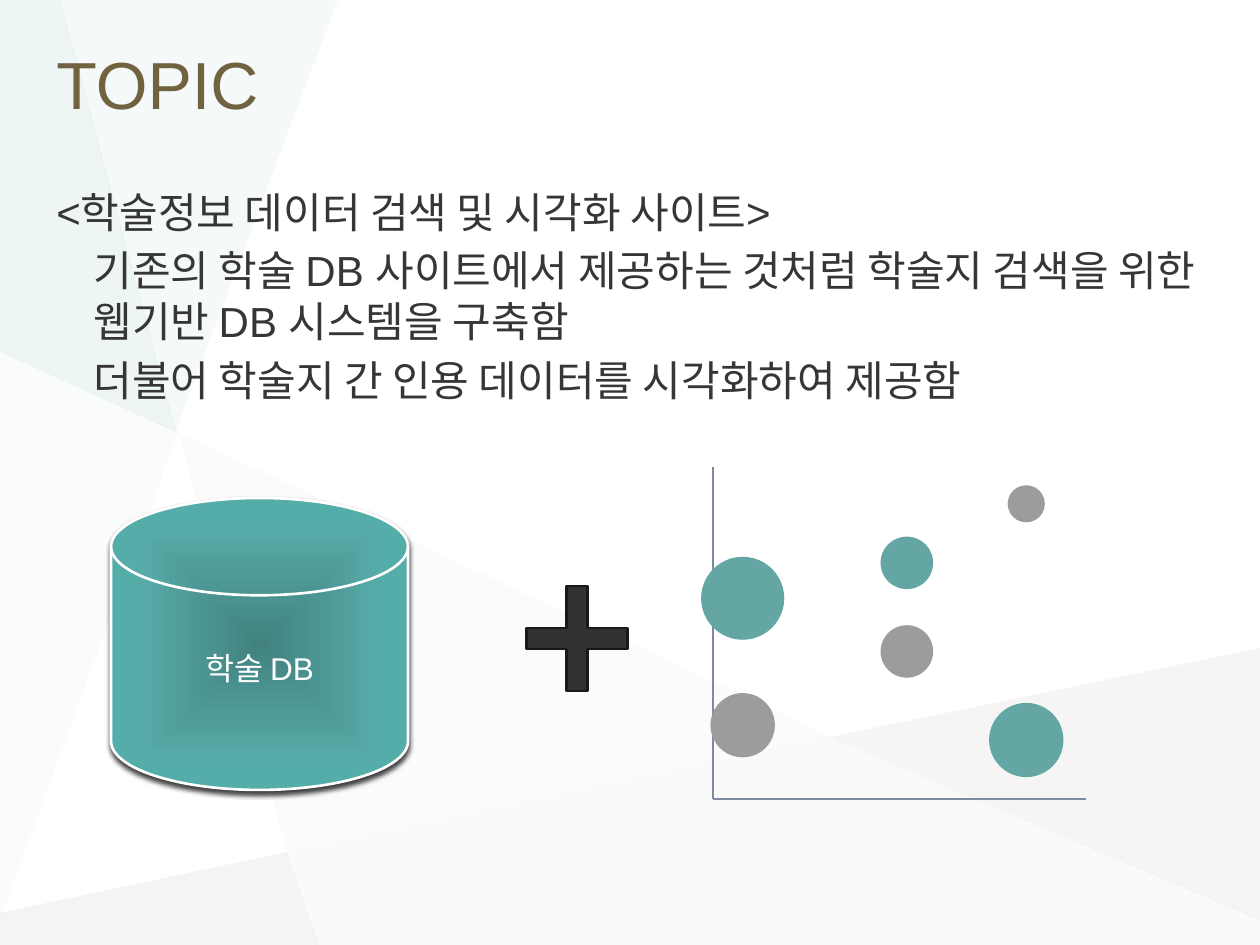
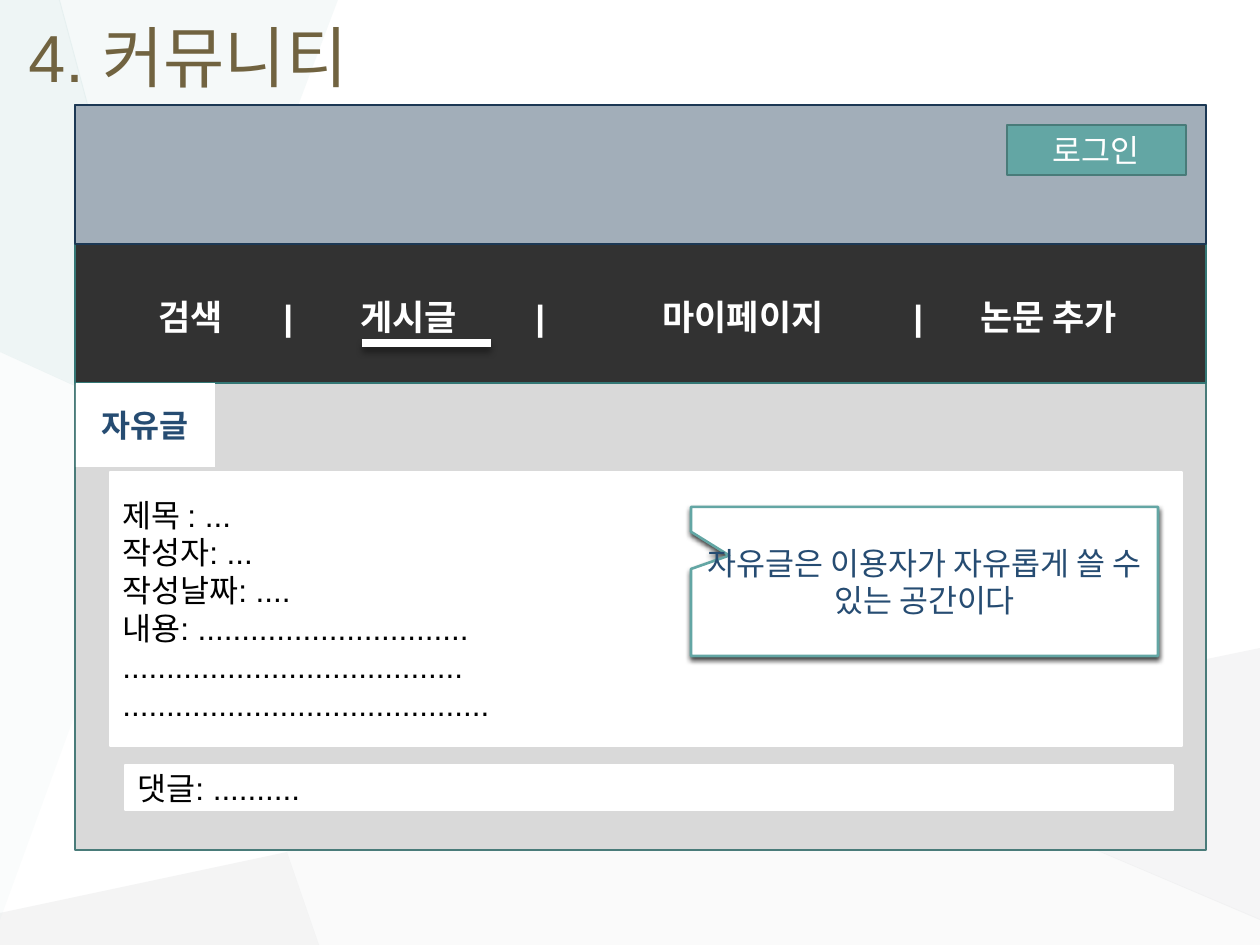
"""Builds two slides: the project topic and the community page mock-up."""
from pptx import Presentation
from pptx.chart.data import BubbleChartData
from pptx.dml.color import RGBColor
from pptx.enum.chart import XL_CHART_TYPE, XL_TICK_LABEL_POSITION, XL_TICK_MARK
from pptx.enum.shapes import MSO_CONNECTOR, MSO_SHAPE
from pptx.enum.text import MSO_ANCHOR, PP_ALIGN
from pptx.oxml import parse_xml
from pptx.oxml.ns import nsdecls, qn
from pptx.util import Emu, Pt

RECT = MSO_SHAPE.RECTANGLE
DISK = MSO_SHAPE.FLOWCHART_MAGNETIC_DISK
PLUS = MSO_SHAPE.MATH_PLUS
CALLOUT = MSO_SHAPE.RECTANGULAR_CALLOUT
LEFT, CENTER = PP_ALIGN.LEFT, PP_ALIGN.CENTER
TOP, MIDDLE = MSO_ANCHOR.TOP, MSO_ANCHOR.MIDDLE
STRAIGHT = MSO_CONNECTOR.STRAIGHT
BUBBLE = XL_CHART_TYPE.BUBBLE
NO_TICK, NO_LABEL = XL_TICK_MARK.NONE, XL_TICK_LABEL_POSITION.NONE

FONT = "Arial"
WHITE = RGBColor(0xFF, 0xFF, 0xFF)
BLACK = RGBColor(0x00, 0x00, 0x00)
GOLD = RGBColor(0x71, 0x63, 0x40)
BODY = RGBColor(0x36, 0x36, 0x36)
DARK = RGBColor(0x32, 0x32, 0x32)
PLUS_EDGE = RGBColor(0x19, 0x19, 0x19)
NAVY = RGBColor(0x26, 0x4C, 0x72)
NAVY_EDGE = RGBColor(0x1C, 0x38, 0x54)
TEAL = RGBColor(0x63, 0xA6, 0xA4)
TEAL_EDGE = RGBColor(0x49, 0x7B, 0x79)
NAV_EDGE = RGBColor(0x34, 0x77, 0x75)
PAGE = RGBColor(0xD9, 0xD9, 0xD9)
GRAY = RGBColor(0x9D, 0x9C, 0x9C)
AXIS = RGBColor(0x7D, 0x8A, 0xA0)
MIST = RGBColor(0xF3, 0xF2, 0xF2)
SILVER = RGBColor(0xB6, 0xB8, 0xBA)
ASH = RGBColor(0xC6, 0xC8, 0xCA)
ICE = RGBColor(0xE0, 0xED, 0xED)
MINT = RGBColor(0xC1, 0xDB, 0xDB)

SLIDE_W, SLIDE_H = 1260, 945
FACETS = [
    (MIST, 26, [(179, 433), (287, 852), (832, 737)]),
    (SILVER, 15, [(287, 852), (0, 913), (0, 945), (319, 945)]),
    (ICE, 31, [(338, 0), (59, 0), (175, 432)]),
    (ASH, 17, [(1260, 648), (830, 737), (1260, 920)]),
    (SILVER, 6, [(830, 737), (287, 852), (319, 945), (1260, 945), (1260, 919)]),
    (MINT, 27, [(60, 0), (0, 0), (0, 352), (176, 432)]),
    (MINT, 8, [(0, 352), (0, 920), (178, 432)]),
]

TOPIC_LINES = [
    "<학술정보 데이터 검색 및 시각화 사이트>",
    "기존의 학술 DB 사이트에서 제공하는 것처럼 학술지 검색을 위한 웹기반 DB 시스템을 구축함",
    "더불어 학술지 간 인용 데이터를 시각화하여 제공함",
]
BODY_INDENT = 37
DISK_STOPS = [(0, "428381"), (80, "56ABA8"), (100, "55ADAA")]
BUBBLE_X = [0.7, 1.8, 2.6]
BUBBLES = [
    ("Series 1", TEAL, [68, 80, 20], [10, 4, 8]),
    ("Series 2", GRAY, [25, 50, 100], [6, 4, 2]),
]
X_RANGE, Y_RANGE = (0.5, 3), (0, 112.5)
PLOT_AREA = {"x": 0.03, "y": 0.07, "w": 0.94, "h": 0.93}

MENU = ["검색", "|", "게시글", "|", "마이페이지", "|", "논문 추가"]
MENU_LEFT = 146
MENU_TABS = [125, 202, 377, 504, 755, 822]
POST_LINES = [
    "제목 : ...",
    "작성자: ...",
    "작성날짜: ....",
    "내용: " + "." * 31,
    "." * 39,
    "." * 42,
]


def px(v):
    return Emu(round(v * 914400 / 126))


def box(*lengths):
    return [px(v) for v in lengths]


def set_alpha(sp, percent):
    clr = next(sp._element.spPr.iter(qn("a:srgbClr")))
    clr.append(parse_xml(f'<a:alpha {nsdecls("a")} val="{percent * 1000}"/>'))


def set_shadow(sp, alpha, blur, dist):
    spPr = sp._element.spPr
    effects = spPr.find(qn("a:effectLst"))
    if effects is None:
        effects = parse_xml(f'<a:effectLst {nsdecls("a")}/>')
        spPr.append(effects)
    effects.append(parse_xml(
        f'<a:outerShdw {nsdecls("a")} blurRad="{Pt(blur)}" dist="{Pt(dist)}" '
        f'dir="5400000" rotWithShape="0"><a:srgbClr val="000000">'
        f'<a:alpha val="{alpha * 1000}"/></a:srgbClr></a:outerShdw>'))


def set_gradient(sp, stops):
    gs = "".join(f'<a:gs pos="{pos * 1000}"><a:srgbClr val="{clr}"/></a:gs>'
                 for pos, clr in stops)
    sp._element.spPr.find(qn("a:prstGeom")).addnext(parse_xml(
        f'<a:gradFill {nsdecls("a")} rotWithShape="1"><a:gsLst>{gs}</a:gsLst>'
        '<a:path path="rect"><a:fillToRect l="50000" t="50000" r="50000" b="50000"/>'
        '</a:path></a:gradFill>'))


def write(sp, lines, size, color, align=LEFT, anchor=MIDDLE, bold=False):
    tf = sp.text_frame
    tf.word_wrap = True
    tf.vertical_anchor = anchor
    tf.text = "\n".join(lines)
    for p in tf.paragraphs:
        p.alignment = align
        for r in p.runs:
            r.font.name, r.font.size, r.font.bold = FONT, Pt(size), bold
            r.font.color.rgb = color
    return tf


def set_fill(sp, color):
    sp.fill.solid()
    sp.fill.fore_color.rgb = color


def add_block(s, kind, at, fill=None, edge=None, adj=()):
    sp = s.shapes.add_shape(kind, *box(*at))
    sp.shadow.inherit = False
    for i, value in enumerate(adj):
        sp.adjustments[i] = value
    if fill is not None:
        set_fill(sp, fill)
    if edge is None:
        sp.line.fill.background()
    else:
        sp.line.color.rgb = edge
        sp.line.width = Pt(1.5)
    return sp


def add_base(prs, title, left, top):
    s = prs.slides.add_slide(prs.slide_layouts[6])
    for color, alpha, points in FACETS:
        builder = s.shapes.build_freeform(*points[0], scale=px(1))
        builder.add_line_segments(points[1:], close=True)
        sp = builder.convert_to_shape()
        sp.shadow.inherit = False
        set_fill(sp, color)
        set_alpha(sp, alpha)
        sp.line.fill.background()
    write(s.shapes.add_textbox(*box(left, top, 1168, 112)), [title], 38, GOLD)
    return s


def add_bubbles(s):
    data = BubbleChartData()
    for name, _, values, sizes in BUBBLES:
        series = data.add_series(name)
        for point in zip(BUBBLE_X, values, sizes):
            series.add_data_point(*point)
    chart = s.shapes.add_chart(BUBBLE, *box(701, 442, 397, 358), data).chart
    chart.has_legend = chart.has_title = False
    chart.font.name, chart.font.size = FONT, Pt(12)
    chart.font.color.rgb = NAVY
    for series, (_, color, _, _) in zip(chart.plots[0].series, BUBBLES):
        set_fill(series.format, color)
        series.format.line.fill.background()
    for axis, (low, high) in ((chart.category_axis, X_RANGE), (chart.value_axis, Y_RANGE)):
        axis.minimum_scale, axis.maximum_scale = low, high
        axis.has_major_gridlines = axis.has_minor_gridlines = False
        axis.major_tick_mark = axis.minor_tick_mark = NO_TICK
        axis.tick_label_position = NO_LABEL
        axis.format.line.color.rgb = AXIS
        axis.format.line.width = Pt(1)
    area = chart._chartSpace.find(qn("c:chart")).find(qn("c:plotArea"))
    for layout in area.findall(qn("c:layout")):
        area.remove(layout)
    parts = "".join(f'<c:{k} val="{v}"/>' for k, v in PLOT_AREA.items())
    area.insert(0, parse_xml(
        f'<c:layout {nsdecls("c")}><c:manualLayout><c:layoutTarget val="inner"/>'
        f'<c:xMode val="edge"/><c:yMode val="edge"/>{parts}</c:manualLayout></c:layout>'))


def build_topic(prs):
    s = add_base(prs, "TOPIC", 44, 27)
    tf = write(s.shapes.add_textbox(*box(44, 180, 1168, 240)), TOPIC_LINES, 24, BODY, anchor=TOP)
    for i, p in enumerate(tf.paragraphs):
        p.space_before = Pt(4.8)
        pPr = p._p.get_or_add_pPr()
        pPr.set("marL", str(px(BODY_INDENT)))
        pPr.set("indent", str(0 if i else -px(BODY_INDENT)))
    disk = add_block(s, DISK, (111, 498, 297, 292), edge=WHITE)
    set_gradient(disk, DISK_STOPS)
    set_shadow(disk, 75, 3, 2)
    write(disk, ["학술 DB"], 18, WHITE, CENTER)
    add_block(s, PLUS, (508, 567, 138, 143), DARK, PLUS_EDGE, [0.154])
    add_bubbles(s)


def build_community(prs):
    s = add_base(prs, "4. 커뮤니티", 16, 0)
    add_block(s, RECT, (75, 105, 1131, 745), PAGE, TEAL_EDGE)
    add_block(s, RECT, (75, 244, 1131, 139), DARK, NAV_EDGE)
    menu = write(s.shapes.add_textbox(*box(MENU_LEFT, 289, 1060, 55)),
                 ["\t".join(MENU)], 20, WHITE, bold=True)
    stops = "".join(f'<a:tab pos="{px(t)}" algn="l"/>' for t in MENU_TABS)
    menu.paragraphs[0]._p.get_or_add_pPr().append(
        parse_xml(f'<a:tabLst {nsdecls("a")}>{stops}</a:tabLst>'))

    header = add_block(s, RECT, (75, 105, 1131, 139), NAVY, NAVY_EDGE)
    set_alpha(header, 30)
    login = add_block(s, RECT, (1007, 125, 179, 50), TEAL, TEAL_EDGE)
    write(login, ["로그인"], 18, WHITE, CENTER)
    marker = s.shapes.add_connector(STRAIGHT, *box(362, 343, 491, 343))
    marker.line.color.rgb = WHITE
    marker.line.width = Pt(4.5)
    set_shadow(marker, 40, 4, 3)

    post = add_block(s, RECT, (110, 472, 1072, 274), WHITE, WHITE)
    write(post, POST_LINES, 18, BLACK)
    reply = add_block(s, RECT, (125, 765, 1048, 45), WHITE, WHITE)
    write(reply, ["댓글: .........."], 18, BLACK)
    tab = add_block(s, RECT, (76, 383, 139, 84), WHITE)
    write(tab, ["자유글"], 18, NAVY, CENTER, bold=True)
    hint = add_block(s, CALLOUT, (691, 507, 467, 149), WHITE, TEAL, [-0.418, -0.174])
    set_shadow(hint, 75, 3, 2)
    write(hint, ["자유글은 이용자가 자유롭게 쓸 수 있는 공간이다"], 18, NAVY, CENTER)


def main():
    prs = Presentation()
    prs.slide_width, prs.slide_height = box(SLIDE_W, SLIDE_H)
    build_topic(prs)
    build_community(prs)
    prs.save("out.pptx")


if __name__ == "__main__":
    main()
